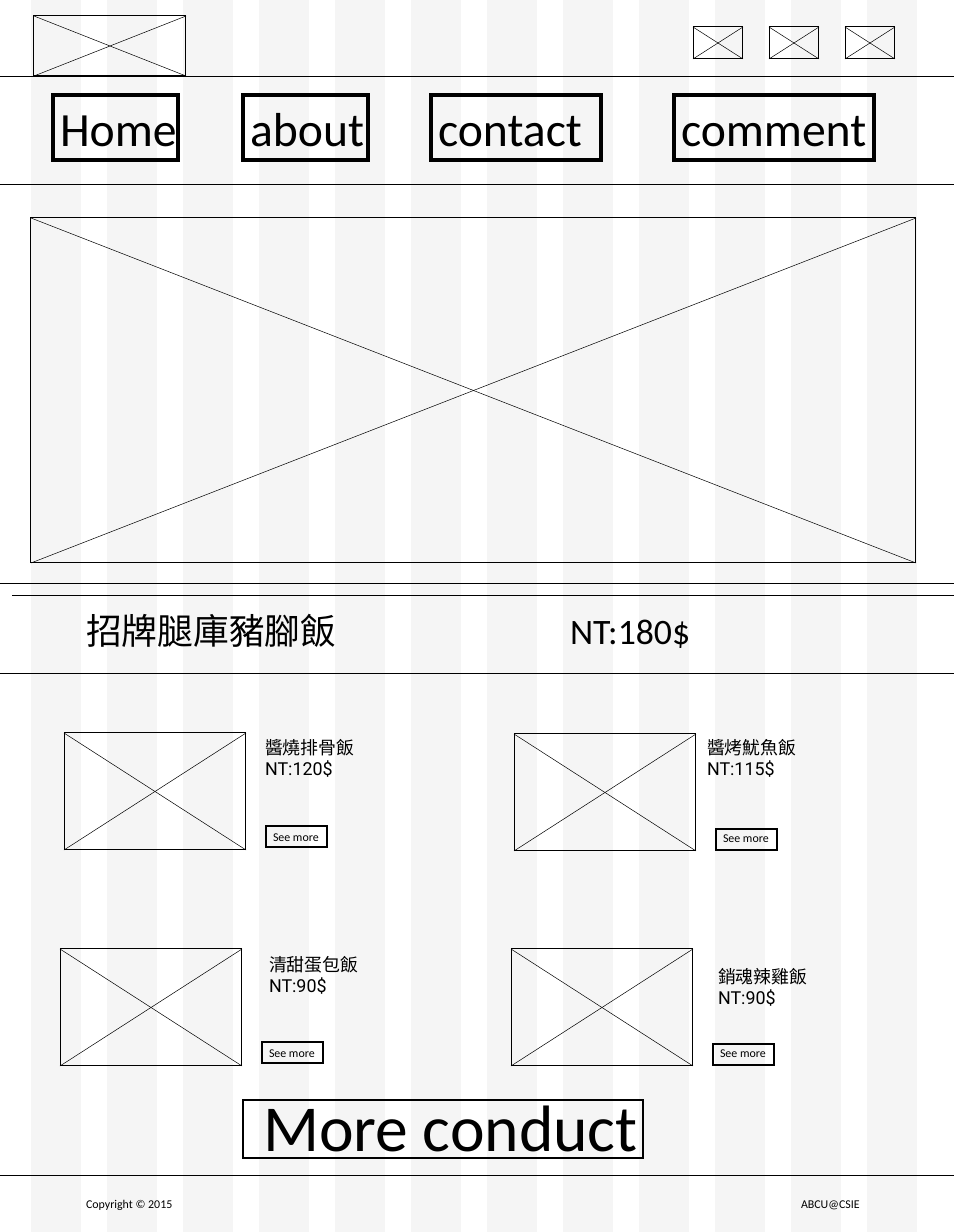
from lxml.etree import SubElement
from pptx import Presentation
from pptx.dml.color import RGBColor
from pptx.enum.shapes import MSO_CONNECTOR, MSO_SHAPE
from pptx.enum.text import MSO_AUTO_SIZE
from pptx.oxml.ns import qn
from pptx.util import Pt

EMU_PER_PX = 12780
WIDTH, HEIGHT = 954, 1232
COLORS = {"ink": "000000"}


def px(value):
    """Turn whole pixels into EMU."""
    return value * EMU_PER_PX


class Wireframe:
    """Hold the style and the current slide, and draw each kind of element."""

    def __init__(self, slide):
        self.s = slide
        self.ink = RGBColor.from_string(COLORS["ink"])

    def rect(self, x, y, w, h):
        """Add a plain rectangle without shadow."""
        sp = self.s.shapes.add_shape(MSO_SHAPE.RECTANGLE, px(x), px(y), px(w), px(h))
        sp.shadow.inherit = False
        return sp

    def stripe(self, x, w):
        """Add a faint full-height grid column."""
        sp = self.rect(x, 0, w, HEIGHT)
        sp.fill.solid()
        sp.fill.fore_color.rgb = self.ink
        color = sp._element.spPr.find(qn("a:solidFill"))[0]
        SubElement(color, qn("a:alpha"), val="4000")
        sp.line.fill.background()

    def frame(self, x, y, w, h, weight=1):
        """Add an unfilled outlined box with sharp corners."""
        sp = self.rect(x, y, w, h)
        sp.fill.background()
        sp.line.color.rgb = self.ink
        sp.line.width = Pt(weight)
        SubElement(sp._element.spPr.find(qn("a:ln")), qn("a:miter"), lim="800000")

    def line(self, x1, y1, x2, y2):
        """Add a thin straight line."""
        c = self.s.shapes.add_connector(
            MSO_CONNECTOR.STRAIGHT, px(x1), px(y1), px(x2), px(y2))
        c.line.color.rgb = self.ink
        c.line.width = Pt(0.5)
        SubElement(c._element.spPr, qn("a:effectLst"))

    def image_box(self, x, y, w, h):
        """Add a crossed box that stands for an image."""
        self.frame(x, y, w, h)
        self.line(x, y, x + w, y + h)
        self.line(x + w, y, x, y + h)

    def text(self, x, y, w, h, text, size, font="Calibri", wrap=True):
        """Add a text box in one font and size."""
        tf = self.s.shapes.add_textbox(px(x), px(y), px(w), px(h)).text_frame
        tf.text = text
        tf.word_wrap = wrap
        tf.auto_size = MSO_AUTO_SIZE.SHAPE_TO_FIT_TEXT
        for p in tf.paragraphs:
            for r in p.runs:
                r.font.size = Pt(size)
                r.font.name = font
                r.font.color.rgb = self.ink
                SubElement(r._r.rPr, qn("a:ea"), typeface=font)

    def nav_item(self, x, w, text_w, text_h, label):
        """Add a heavy navigation button."""
        self.text(x, 95, text_w, text_h, label, 48)
        self.frame(x, 95, w, 65, 4.5)

    def card(self, x, y, label_x, label_y, label_w, button_y, label):
        """Add a dish with its image box, label and button."""
        self.image_box(x, y, 182, 117)
        self.text(label_x, label_y, label_w, 51, label, 18, "Roboto")
        self.text(x + 202, y + 93, 61, 21, "See more", 12, wrap=False)
        self.frame(x + 202, button_y, 61, 21, 2.25)


NAV = [
    (53, 125, 152, 65, "Home"),
    (243, 125, 152, 65, "about"),
    (431, 170, 205, 123, "contact"),
    (674, 200, 242, 123, "comment"),
]
CARDS = [
    (64, 733, 258, 733, 175, 826, "醬燒排骨飯\nNT:120$"),
    (514, 734, 700, 733, 145, 829, "醬烤魷魚飯\nNT:115$"),
    (60, 949, 262, 950, 132, 1042, "清甜蛋包飯\nNT:90$"),
    (511, 949, 711, 962, 132, 1044, "銷魂辣雞飯NT:90$"),
]

prs = Presentation()
prs.slide_width, prs.slide_height = px(WIDTH), px(HEIGHT)
page = Wireframe(prs.slides.add_slide(prs.slide_layouts[6]))

for i in range(12):
    page.stripe(31 + 76 * i, 50)
for y in (76, 184, 583, 673, 1175):
    page.line(0, y, WIDTH, y)
page.line(12, 595, 966, 595)

page.image_box(34, 16, 152, 60)
for i in range(3):
    page.image_box(693 + 76 * i, 27, 50, 32)
for item in NAV:
    page.nav_item(*item)
page.image_box(31, 218, 885, 345)

page.text(79, 605, 355, 51, "招牌腿庫豬腳飯", 36, "Noto Sans CJK KR")
page.text(563, 605, 228, 51, "NT:180$", 36)
for card in CARDS:
    page.card(*card)

page.text(256, 1082, 441, 87, "More conduct", 66)
page.frame(243, 1100, 400, 58, 2.25)
page.text(79, 1193, 102, 21, "Copyright © 2015", 12, wrap=False)
page.text(794, 1193, 74, 21, "ABCU@CSIE", 12, wrap=False)

prs.save("out.pptx")
